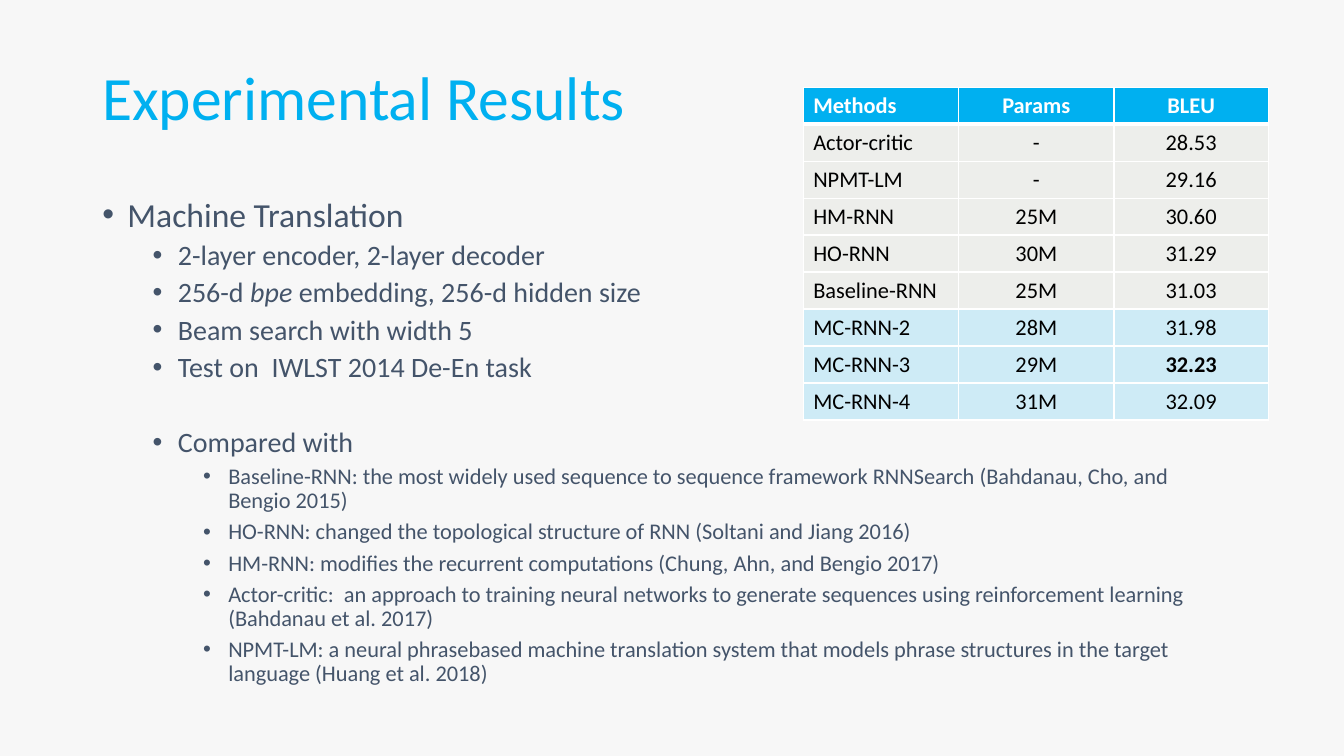
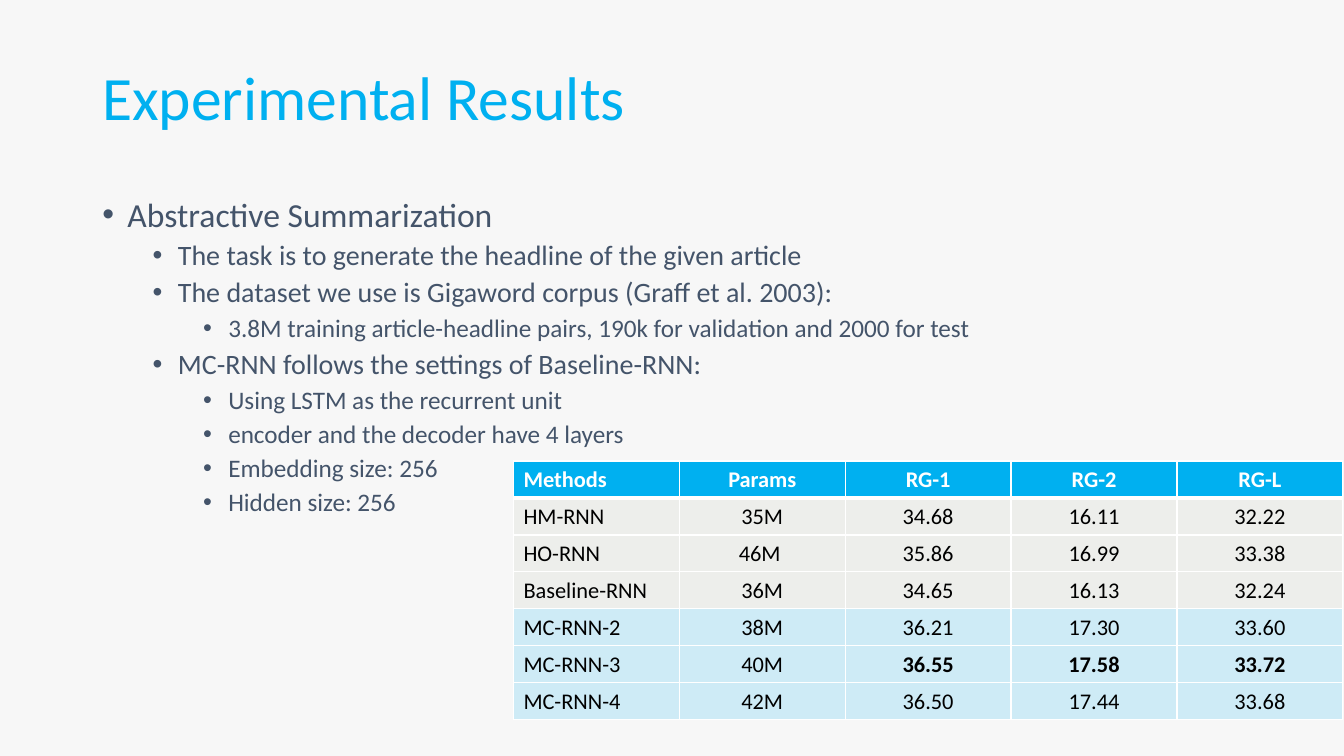
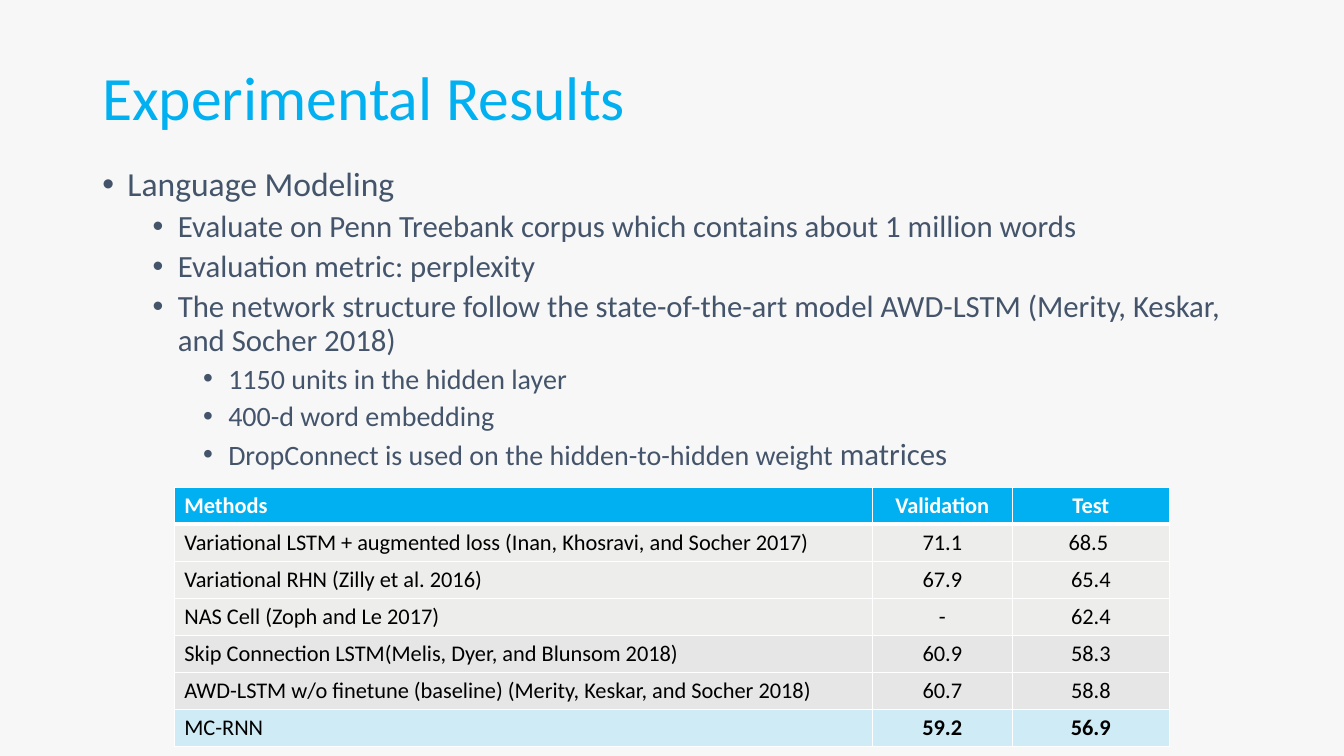
"""Build three slides of experimental results, each with a bullet list and a table."""

from dataclasses import dataclass

from lxml.etree import SubElement
from pptx import Presentation
from pptx.dml.color import RGBColor
from pptx.enum.text import MSO_ANCHOR, PP_ALIGN
from pptx.oxml.ns import qn
from pptx.util import Emu, Pt

EMU_PER_PX = 9525
FONT = "Calibri"
PAPER = RGBColor(0xF7, 0xF7, 0xF7)
CYAN = RGBColor(0x00, 0xB0, 0xF0)
SLATE = RGBColor(0x44, 0x54, 0x6A)
WHITE = RGBColor(0xFF, 0xFF, 0xFF)
BLACK = RGBColor(0x00, 0x00, 0x00)
LIGHT = RGBColor(0xED, 0xEE, 0xEB)
GREY = RGBColor(0xE7, 0xE6, 0xE6)
PALE_BLUE = RGBColor(0xCE, 0xEB, 0xF6)

TITLE = "Experimental Results"
LEFT = 88
BULLET_INDENT = 24
LEVEL_STEP = 48
ROW_HEIGHT = 35
TABLE_SIZE = 16
NO_BOLD = 99


@dataclass(frozen=True)
class Run:
    text: str
    size: int = 0
    italic: bool = False


@dataclass(frozen=True)
class Bullet:
    level: int
    size: int
    runs: tuple[Run, ...]
    before: int = 5


@dataclass(frozen=True)
class Row:
    cells: tuple[str, ...]
    fill: RGBColor = LIGHT
    color: RGBColor = BLACK
    bold_from: int = NO_BOLD


@dataclass(frozen=True)
class ResultTable:
    left: int
    top: int
    widths: tuple[int, ...]
    rows: tuple[Row, ...]


@dataclass(frozen=True)
class ResultSlide:
    body_top: int
    bullets: tuple[Bullet, ...]
    table: ResultTable


def px(n: int) -> Emu:
    """Turn pixels into EMU."""
    return Emu(n * EMU_PER_PX)


def topic(text: str) -> Bullet:
    """Make a first-level bullet."""
    return Bullet(0, 24, (Run(text),), 10)


def points(level: int, size: int, *texts: str) -> tuple[Bullet, ...]:
    """Make plain bullets of one level and size."""
    return tuple(Bullet(level, size, (Run(t),)) for t in texts)


def header(*cells: str) -> Row:
    """Make a table heading row."""
    return Row(cells, CYAN, WHITE, 0)


def result(*cells: str, fill: RGBColor = LIGHT, bold_from: int = NO_BOLD) -> Row:
    """Make a table row of results."""
    return Row(cells, fill, BLACK, bold_from)


def add_run(p, text: str, size: int, color: RGBColor, bold: bool = False, italic: bool = False) -> None:
    """Add a run with its font."""
    r = p.add_run()
    r.text = text
    f = r.font
    f.name, f.size, f.bold, f.italic = FONT, Pt(size), bold, italic
    f.color.rgb = color


def add_box(s, top: int, width: int, height: int):
    """Add a wrapping text box and return its frame."""
    tf = s.shapes.add_textbox(px(LEFT), px(top), px(width), px(height)).text_frame
    tf.word_wrap = True
    return tf


def add_title(s) -> None:
    """Add the shared slide title."""
    tf = add_box(s, 26, 1104, 139)
    tf.vertical_anchor = MSO_ANCHOR.MIDDLE
    p = tf.paragraphs[0]
    p.line_spacing = 0.9
    add_run(p, TITLE, 44, CYAN)


def add_bullets(s, top: int, bullets: tuple[Bullet, ...]) -> None:
    """Add the bullet list."""
    tf = add_box(s, top, 1087, 571)
    for i, b in enumerate(bullets):
        p = tf.add_paragraph() if i else tf.paragraphs[0]
        p.level = b.level
        p.line_spacing = 0.9
        p.space_before = Pt(b.before)
        pPr = p._p.get_or_add_pPr()
        pPr.set("marL", str(px(BULLET_INDENT + b.level * LEVEL_STEP)))
        pPr.set("indent", str(px(-BULLET_INDENT)))
        SubElement(pPr, qn("a:buFont"), typeface="Arial")
        SubElement(pPr, qn("a:buChar"), char="•")
        for run in b.runs:
            add_run(p, run.text, run.size or b.size, SLATE, italic=run.italic)


def set_borders(cell, top: int, bottom: int) -> None:
    """Draw white cell borders, with widths in points."""
    tcPr = cell._tc.get_or_add_tcPr()
    for side, width in (("L", 1), ("R", 1), ("T", top), ("B", bottom)):
        ln = SubElement(tcPr, qn(f"a:ln{side}"), w=str(Pt(width)))
        fill = SubElement(ln, qn("a:solidFill"))
        SubElement(fill, qn("a:srgbClr"), val=str(WHITE))


def add_results(s, t: ResultTable) -> None:
    """Add a results table."""
    table = s.shapes.add_table(
        len(t.rows), len(t.widths), px(t.left), px(t.top),
        px(sum(t.widths)), px(ROW_HEIGHT * len(t.rows)),
    ).table
    table.horz_banding = False
    for col, width in zip(table.columns, t.widths):
        col.width = px(width)
    for i, row in enumerate(t.rows):
        table.rows[i].height = px(ROW_HEIGHT)
        for j, text in enumerate(row.cells):
            cell = table.cell(i, j)
            set_borders(cell, 3 if i == 1 else 1, 3 if i == 0 else 1)
            cell.fill.solid()
            cell.fill.fore_color.rgb = row.fill
            p = cell.text_frame.paragraphs[0]
            p.alignment = PP_ALIGN.CENTER if j else PP_ALIGN.LEFT
            add_run(p, text, TABLE_SIZE, row.color, bold=j >= row.bold_from)


SLIDES = (
    ResultSlide(
        184,
        (
            topic("Machine Translation"),
            *points(1, 20, "2-layer encoder, 2-layer decoder"),
            Bullet(1, 20, (Run("256-d "), Run("bpe", italic=True), Run(" embedding, 256-d hidden size"))),
            *points(1, 20, "Beam search with width 5", "Test on  IWLST 2014 De-En task"),
            Bullet(1, 20, (Run("Compared with"),), 32),
            *points(
                2, 16,
                "Baseline-RNN: the most widely used sequence to sequence framework RNNSearch "
                "(Bahdanau, Cho, and Bengio 2015)",
                "HO-RNN: changed the topological structure of RNN (Soltani and Jiang 2016)",
                "HM-RNN: modifies the recurrent computations (Chung, Ahn, and Bengio 2017)",
                "Actor-critic:  an approach to training neural networks to generate sequences "
                "using reinforcement learning (Bahdanau et al. 2017)",
                "NPMT-LM: a neural phrasebased machine translation system that models phrase "
                "structures in the target language (Huang et al. 2018)",
            ),
        ),
        ResultTable(765, 83, (148, 148, 147), (
            header("Methods", "Params", "BLEU"),
            result("Actor-critic", "-", "28.53"),
            result("NPMT-LM", "-", "29.16"),
            result("HM-RNN", "25M", "30.60"),
            result("HO-RNN", "30M", "31.29"),
            result("Baseline-RNN", "25M", "31.03"),
            result("MC-RNN-2", "28M", "31.98", fill=PALE_BLUE),
            result("MC-RNN-3", "29M", "32.23", fill=PALE_BLUE, bold_from=2),
            result("MC-RNN-4", "31M", "32.09", fill=PALE_BLUE),
        )),
    ),
    ResultSlide(
        184,
        (
            topic("Abstractive Summarization"),
            *points(
                1, 20,
                "The task is to generate the headline of the given article",
                "The dataset we use is Gigaword corpus (Graff et al. 2003):",
            ),
            *points(2, 18, "3.8M training article-headline pairs, 190k for validation and 2000 for test"),
            *points(1, 20, "MC-RNN follows the settings of Baseline-RNN:"),
            *points(
                2, 18,
                "Using LSTM as the recurrent unit",
                "encoder and the decoder have 4 layers",
                "Embedding size: 256",
                "Hidden size: 256",
            ),
        ),
        ResultTable(489, 439, (158,) * 5, (
            header("Methods", "Params", "RG-1", "RG-2", "RG-L"),
            result("HM-RNN", "35M", "34.68", "16.11", "32.22"),
            result("HO-RNN", "46M ", "35.86", "16.99", "33.38"),
            result("Baseline-RNN", "36M", "34.65", "16.13", "32.24"),
            result("MC-RNN-2", "38M", "36.21", "17.30", "33.60", fill=PALE_BLUE),
            result("MC-RNN-3", "40M", "36.55", "17.58", "33.72", fill=PALE_BLUE, bold_from=2),
            result("MC-RNN-4", "42M", "36.50", "17.44", "33.68", fill=PALE_BLUE),
        )),
    ),
    ResultSlide(
        155,
        (
            topic("Language Modeling"),
            *points(
                1, 22,
                "Evaluate on Penn Treebank corpus which contains about 1 million words",
                "Evaluation metric: perplexity",
                "The network structure follow the state-of-the-art model AWD-LSTM "
                "(Merity, Keskar, and Socher 2018)",
            ),
            *points(2, 20, "1150 units in the hidden layer", "400-d word embedding"),
            Bullet(2, 20, (
                Run("DropConnect is used on the hidden-to-hidden weight "),
                Run("matrices", size=22),
            )),
        ),
        ResultTable(166, 464, (665, 133, 150), (
            header("Methods", "Validation", "Test"),
            result("Variational LSTM + augmented loss (Inan, Khosravi, and Socher 2017)", "71.1", "68.5 "),
            result("Variational RHN (Zilly et al. 2016)", "67.9", "65.4"),
            result("NAS Cell (Zoph and Le 2017)", "-", "62.4"),
            result("Skip Connection LSTM(Melis, Dyer, and Blunsom 2018)", "60.9", "58.3", fill=GREY),
            result("AWD-LSTM w/o finetune (baseline) (Merity, Keskar, and Socher 2018)",
                   "60.7", "58.8", fill=GREY),
            result("MC-RNN", "59.2", "56.9", fill=PALE_BLUE, bold_from=1),
        )),
    ),
)


def main() -> None:
    """Build and save the presentation."""
    prs = Presentation()
    prs.slide_width, prs.slide_height = px(1280), px(720)
    bg = prs.slide_master.background.fill
    bg.solid()
    bg.fore_color.rgb = PAPER
    for item in SLIDES:
        s = prs.slides.add_slide(prs.slide_layouts[6])
        add_title(s)
        add_bullets(s, item.body_top, item.bullets)
        add_results(s, item.table)
    prs.save("out.pptx")


if __name__ == "__main__":
    main()
